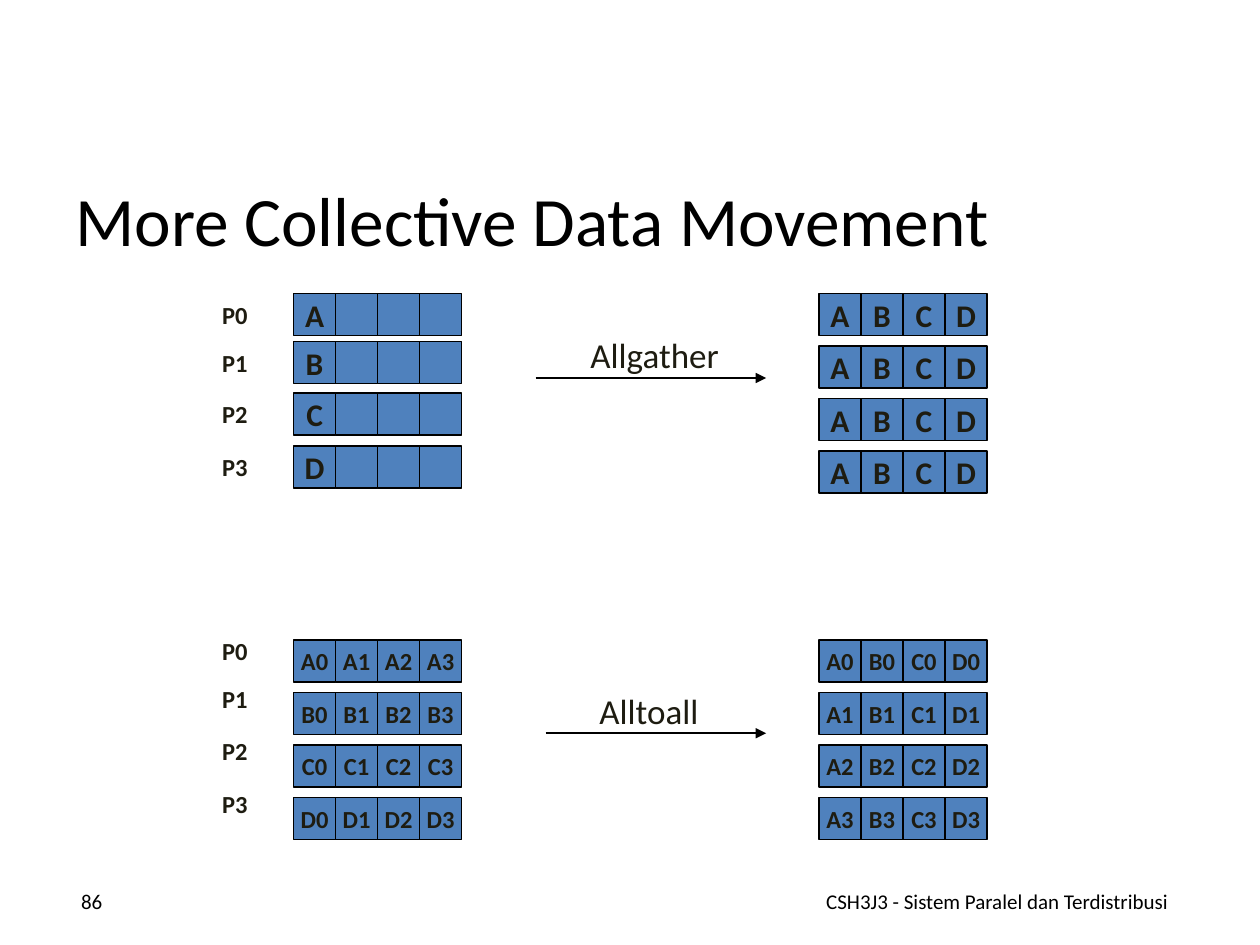
"""Build the slide on the Allgather and Alltoall collective operations."""
from dataclasses import dataclass

from lxml import etree
from pptx import Presentation
from pptx.dml.color import RGBColor
from pptx.enum.shapes import MSO_CONNECTOR, MSO_SHAPE
from pptx.enum.text import MSO_ANCHOR, PP_ALIGN
from pptx.oxml.ns import qn
from pptx.util import Inches, Pt

RECTANGLE = MSO_SHAPE.RECTANGLE
STRAIGHT = MSO_CONNECTOR.STRAIGHT
TOP, MIDDLE = MSO_ANCHOR.TOP, MSO_ANCHOR.MIDDLE
LEFT, CENTER, RIGHT = PP_ALIGN.LEFT, PP_ALIGN.CENTER, PP_ALIGN.RIGHT


@dataclass(frozen=True)
class Theme:
    """Colours, font and type sizes of the slide."""
    font: str = "Calibri"
    ink: RGBColor = RGBColor(0x1E, 0x1C, 0x11)
    black: RGBColor = RGBColor(0, 0, 0)
    cell: RGBColor = RGBColor(0x4F, 0x81, 0xBD)
    title: float = 39.6
    operation: float = 20
    letter: float = 18
    small: float = 14
    footer: float = 12
    line: float = 1


THEME = Theme()
TITLE = "More Collective Data Movement"
COURSE = "CSH3J3 - Sistem Paralel dan Terdistribusi"
PAGE = "86"
PROCESSES = ("P0", "P1", "P2", "P3")
LETTERS = "ABCD"

CELL = 1 / 3
EVEN_ROWS = [row * 5 / 12 for row in range(4)]
CLOSE_ROWS = [0, 0.38, 0.79, 1.21]
BEFORE_X, AFTER_X = 2.33, 6.5

OPERATIONS = [
    {
        "name": "Allgather", "name_at": (4.57, 2.6, 1.25, 0.43),
        "arrow": (4.25, 6.08, 3), "top": 2.33, "labels_top": 2.33,
        "before": [[letter, "", "", ""] for letter in LETTERS],
        "after": [list(LETTERS) for _ in PROCESSES],
        "before_rows": CLOSE_ROWS, "size": THEME.letter,
    },
    {
        "name": "Alltoall", "name_at": (4.65, 5.42, 1, 0.44),
        "arrow": (4.33, 6.08, 5.82), "top": 5.08, "labels_top": 5,
        "before": [[f"{letter}{n}" for n in range(4)] for letter in LETTERS],
        "after": [[f"{letter}{n}" for letter in LETTERS] for n in range(4)],
        "before_rows": EVEN_ROWS, "size": THEME.small,
    },
]


def write(shape, text, size, color=THEME.ink, bold=False, align=CENTER,
          anchor=TOP, wrap=False):
    """Put formatted text into a shape."""
    frame = shape.text_frame
    frame.word_wrap = wrap
    frame.vertical_anchor = anchor
    paragraph = frame.paragraphs[0]
    paragraph.alignment = align
    run = paragraph.add_run()
    run.text = text
    run.font.name = THEME.font
    run.font.size = Pt(size)
    run.font.bold = bold
    run.font.color.rgb = color


def add_label(slide, box, text, size, **style):
    """Add a text box with formatted text."""
    write(slide.shapes.add_textbox(*map(Inches, box)), text, size, **style)


def add_grid(slide, left, top, row_offsets, rows, size):
    """Draw rows of adjoining square cells."""
    for offset, row in zip(row_offsets, rows):
        for column, value in enumerate(row):
            cell = slide.shapes.add_shape(
                RECTANGLE, Inches(left + column * CELL), Inches(top + offset),
                Inches(CELL), Inches(CELL))
            cell.shadow.inherit = False
            cell.fill.solid()
            cell.fill.fore_color.rgb = THEME.cell
            cell.line.color.rgb = THEME.black
            cell.line.width = Pt(THEME.line)
            if value:
                write(cell, value, size, bold=True, anchor=MIDDLE)


def add_arrow(slide, start, end, y):
    """Draw a horizontal arrow."""
    arrow = slide.shapes.add_connector(
        STRAIGHT, Inches(start), Inches(y), Inches(end), Inches(y))
    arrow.line.color.rgb = THEME.black
    arrow.line.width = Pt(THEME.line)
    etree.SubElement(arrow.line._get_or_add_ln(), qn("a:tailEnd"), type="triangle")
    etree.SubElement(arrow._element.spPr, qn("a:effectLst"))


def add_operation(slide, operation):
    """Draw one operation with its data before and after."""
    top, size = operation["top"], operation["size"]
    add_grid(slide, BEFORE_X, top, operation["before_rows"], operation["before"], size)
    add_grid(slide, AFTER_X, top, EVEN_ROWS, operation["after"], size)
    add_arrow(slide, *operation["arrow"])
    add_label(slide, operation["name_at"], operation["name"], THEME.operation)
    for process, offset in zip(PROCESSES, CLOSE_ROWS):
        add_label(slide, (1.66, operation["labels_top"] + offset, 0.41, 0.34),
                  process, THEME.small, bold=True)


def main():
    """Build and save the slide."""
    deck = Presentation()
    deck.slide_width, deck.slide_height = Inches(10), Inches(7.5)
    slide = deck.slides.add_slide(deck.slide_layouts[6])
    frame_style = {"color": THEME.black, "anchor": MIDDLE, "wrap": True}
    add_label(slide, (0.5, 1.42, 9, 0.63), TITLE, THEME.title, align=LEFT, **frame_style)
    add_label(slide, (6.33, 6.95, 3.17, 0.4), COURSE, THEME.footer, **frame_style)
    add_label(slide, (0.33, 6.95, 0.58, 0.4), PAGE, THEME.footer, align=RIGHT, **frame_style)
    for operation in OPERATIONS:
        add_operation(slide, operation)
    deck.save("out.pptx")


if __name__ == "__main__":
    main()
